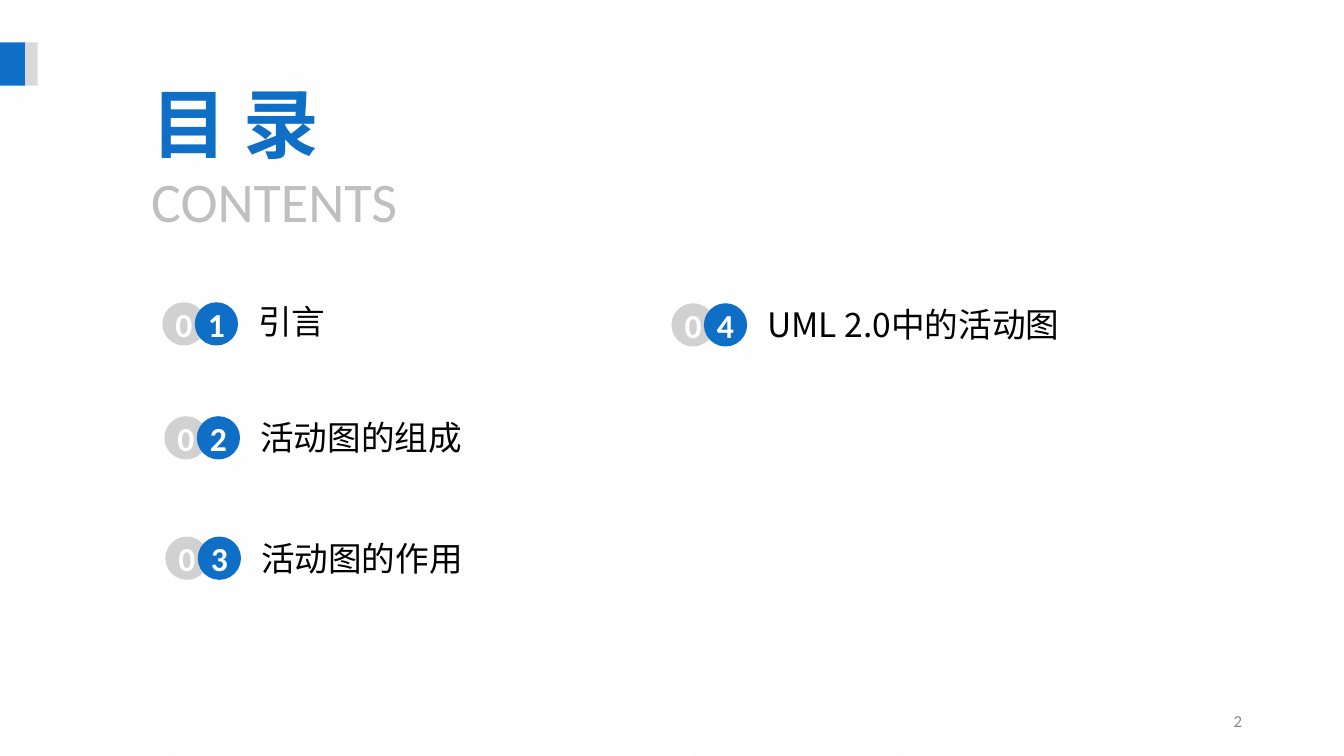
from typing import NamedTuple

from lxml.etree import SubElement
from pptx import Presentation
from pptx.dml.color import RGBColor
from pptx.enum.dml import MSO_PATTERN
from pptx.enum.shapes import MSO_SHAPE as Preset
from pptx.enum.text import MSO_ANCHOR as Anchor, MSO_AUTO_SIZE as AutoSize, PP_ALIGN as Align
from pptx.oxml.ns import qn
from pptx.util import Inches, Pt

WIDTH, HEIGHT = Inches(13.33), Inches(7.5)
BLUE = RGBColor(0x0F, 0x6F, 0xC6)
WHITE = RGBColor(0xFF, 0xFF, 0xFF)
BLACK = RGBColor(0, 0, 0)
STRIPE = RGBColor(0xFA, 0xFA, 0xFA)
TAB_GREY = RGBColor(0xD9, 0xD9, 0xD9)
CIRCLE_GREY = RGBColor(0xD1, 0xD1, 0xD1)
SUBTITLE_GREY = RGBColor(0xBF, 0xBF, 0xBF)
NUMBER_GREY = RGBColor(0x89, 0x89, 0x89)
LATIN, CHINESE = "Calibri", "Noto Sans CJK SC"


class Box(NamedTuple):
    """A rectangle on the slide."""
    left: int
    top: int
    width: int
    height: int


def percent_box(left, top, width, height):
    """Turn percentages of the slide's size into a box."""
    return Box(int(WIDTH * left / 100), int(HEIGHT * top / 100),
               int(WIDTH * width / 100), int(HEIGHT * height / 100))


def write(shape, text, size, color, font=LATIN, bold=False, align=Align.LEFT, anchor=Anchor.MIDDLE):
    """Put one formatted paragraph into a shape and return it."""
    frame = shape.text_frame
    frame.text = text
    frame.word_wrap = True
    frame.auto_size = AutoSize.NONE
    frame.vertical_anchor = anchor
    paragraph = frame.paragraphs[0]
    paragraph.alignment = align
    paragraph.space_before = Pt(0)
    paragraph.font.size = Pt(size)
    paragraph.font.bold = bold
    paragraph.font.color.rgb = color
    paragraph.font.name = font
    properties = paragraph._p.pPr.find(qn("a:defRPr"))
    SubElement(properties, qn("a:ea")).set("typeface", font)
    return paragraph


def set_margins(shape, left=0):
    """Clear a shape's text margins, except for the left one."""
    frame = shape.text_frame
    frame.margin_left = left
    frame.margin_top = frame.margin_right = frame.margin_bottom = 0


def add_plain(shapes, preset, box, color):
    """Add a flat shape without an outline."""
    shape = shapes.add_shape(preset, *box)
    shape.shadow.inherit = False
    shape.fill.solid()
    shape.fill.fore_color.rgb = color
    shape.line.fill.background()
    return shape


def add_background(slide):
    """Cover the slide with faint diagonal stripes."""
    fill = slide.background.fill
    fill.patterned()
    fill.pattern = MSO_PATTERN.WIDE_UPWARD_DIAGONAL
    fill.fore_color.rgb = STRIPE
    fill.back_color.rgb = WHITE


def add_edge_tab(slide, box):
    """Split the tab at the slide's edge into a blue and a grey part."""
    shapes = slide.shapes.add_group_shape().shapes
    blue_width = box.width * 2 // 3
    add_plain(shapes, Preset.RECTANGLE, box._replace(width=blue_width), BLUE)
    grey_box = box._replace(left=box.left + blue_width, width=box.width - blue_width)
    add_plain(shapes, Preset.RECTANGLE, grey_box, TAB_GREY)


def add_heading(slide, box):
    """Stack the title and its translation in the box."""
    title, subtitle = slide.placeholders
    parts = ((title, 0, 0.61, "目 录", 54, BLUE, CHINESE, True),
             (subtitle, 0.54, 0.46, "CONTENTS", 40, SUBTITLE_GREY, LATIN, False))
    for shape, offset, share, text, size, color, font, bold in parts:
        shape.left, shape.width = box.left, box.width
        shape.top = box.top + int(box.height * offset)
        shape.height = int(box.height * share)
        write(shape, text, size, color, font, bold, anchor=Anchor.TOP)


def add_item(slide, box, digit, caption):
    """Add two overlapping number circles and a caption to their right."""
    shapes = slide.shapes.add_group_shape().shapes
    diameter = int(box.height * 0.65)
    circle_top = box.top + int(box.height * 0.18)
    for index, (text, color) in enumerate((("0", CIRCLE_GREY), (digit, BLUE))):
        left = box.left + int(index * diameter * 0.75)
        circle = add_plain(shapes, Preset.OVAL, Box(left, circle_top, diameter, diameter), color)
        set_margins(circle)
        write(circle, text, 24, WHITE, bold=True, align=Align.CENTER)
    indent = int(diameter * 1.75)
    label = shapes.add_textbox(box.left + indent, box.top, box.width - indent, box.height)
    set_margins(label, Inches(0.2))
    return write(label, caption, 24, BLACK, CHINESE)


def add_page_number(slide, box, number):
    """Write the page number at the right of the box."""
    write(slide.shapes.add_textbox(*box), number, 12, NUMBER_GREY, align=Align.RIGHT)


def main():
    """Build the contents slide."""
    presentation = Presentation()
    presentation.slide_width, presentation.slide_height = WIDTH, HEIGHT
    slide = presentation.slides.add_slide(presentation.slide_layouts[0])
    add_background(slide)
    add_edge_tab(slide, percent_box(0, 5.6, 2.8, 5.73))
    add_heading(slide, percent_box(10.5, 9.47, 20.18, 22.13))
    items = ((12.08, 38.4, "引言"), (12.23, 53.47, "活动图的组成"),
             (12.3, 69.4, "活动图的作用"), (49.96, 38.53, "UML 2.0中的活动图"))
    captions = [add_item(slide, percent_box(left, top, 33.9, 8.8), str(number), caption)
                for number, (left, top, caption) in enumerate(items, 1)]
    captions[0].line_spacing = 0.9
    add_page_number(slide, percent_box(70.67, 92.67, 22.5, 5.33), "2")
    presentation.save("out.pptx")


if __name__ == "__main__":
    main()
